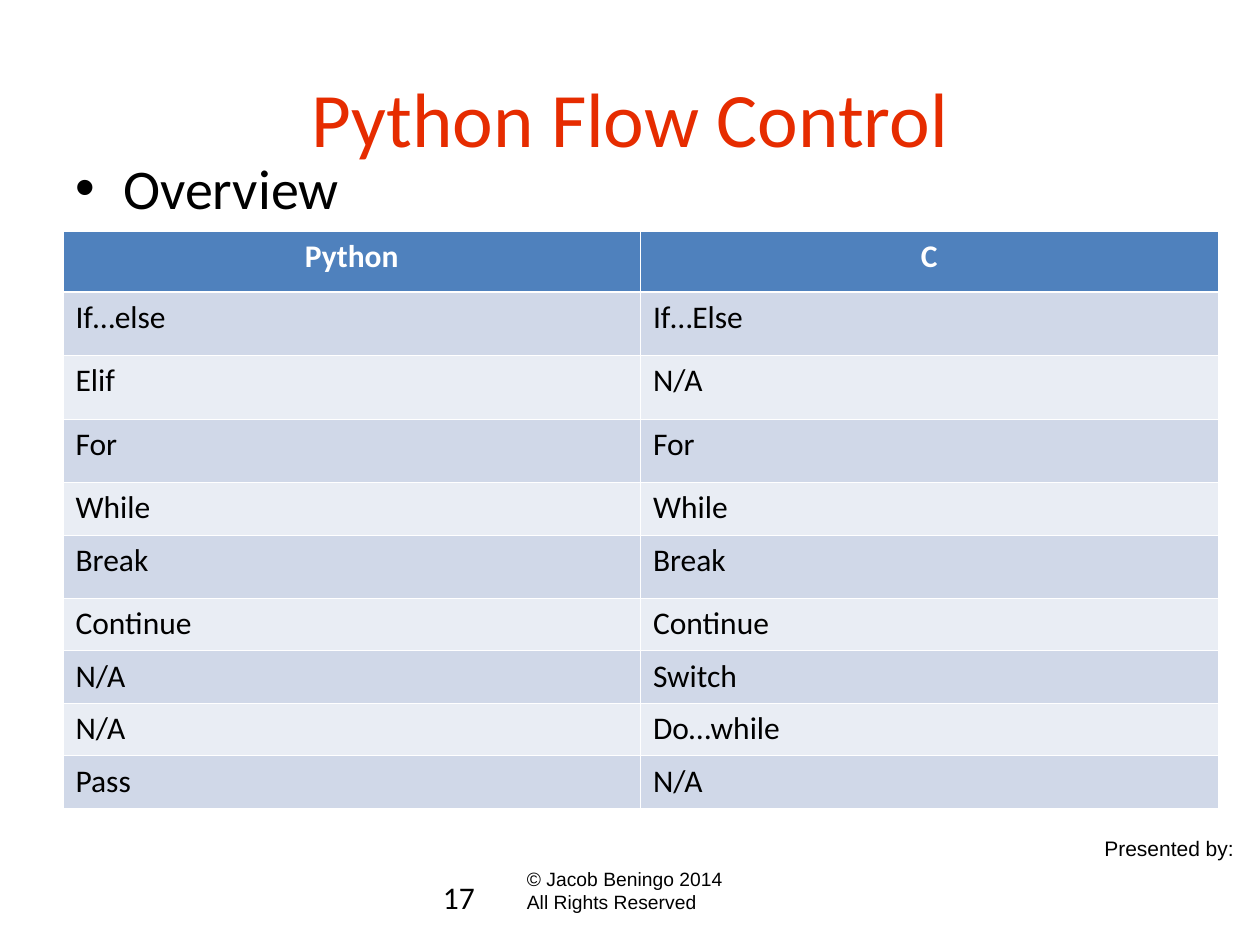
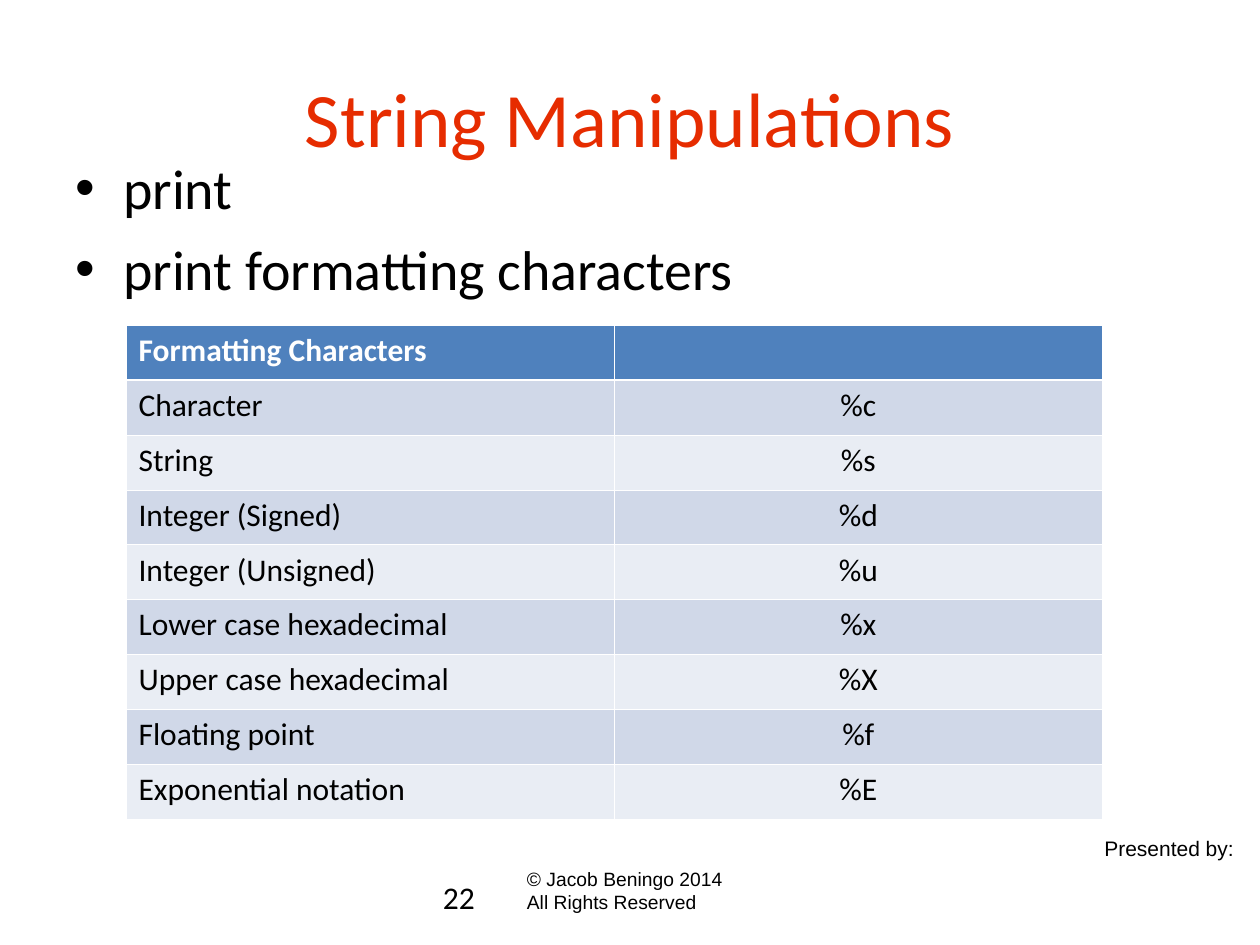
import collections

import lxml.etree
import pptx
import pptx.dml.color
import pptx.enum.text
import pptx.oxml.ns
import pptx.util

RGBColor = pptx.dml.color.RGBColor
Align = pptx.enum.text.PP_ALIGN

RED = RGBColor(0xE6, 0x2C, 0x00)
BLACK = RGBColor(0x00, 0x00, 0x00)
WHITE = RGBColor(0xFF, 0xFF, 0xFF)
HEADER_BLUE = RGBColor(0x4F, 0x81, 0xBD)
BAND_DARK = RGBColor(0xD0, 0xD8, 0xE8)
BAND_LIGHT = RGBColor(0xE9, 0xED, 0xF4)

BODY_FONT = "Calibri"
FOOTER_FONT = "Arial"
SLIDE_WIDTH = pptx.util.Inches(10)
SLIDE_HEIGHT = pptx.util.Inches(7.5)
GRID_COLUMNS = 120
GRID_ROWS = 90
THIN = 0.45
THICK = 1.47

Box = collections.namedtuple("Box", "left top width height")

TITLE_BOX = Box(6, 3.6, 108, 15)
BULLET_BOX = Box(6, 14, 108, 59.4)
FOOTER_BOX = Box(41, 79, 78, 11)

FLOW_ROWS = [
    ("Python", "C"),
    ("If…else", "If…Else"),
    ("Elif", "N/A"),
    ("For", "For"),
    ("While", "While"),
    ("Break", "Break"),
    ("Continue", "Continue"),
    ("N/A", "Switch"),
    ("N/A", "Do…while"),
    ("Pass", "N/A"),
]
FLOW_ROW_SHARES = [5.8, 6.05, 6.05, 6.05, 5, 6.05, 5, 5, 5, 5]

FORMAT_ROWS = [
    ("Formatting Characters", ""),
    ("Character", "%c"),
    ("String", "%s"),
    ("Integer (Signed)", "%d"),
    ("Integer (Unsigned)", "%u"),
    ("Lower case hexadecimal", "%x"),
    ("Upper case hexadecimal", "%X"),
    ("Floating point", "%f"),
    ("Exponential notation", "%E"),
]


def across(columns):
    return round(SLIDE_WIDTH * columns / GRID_COLUMNS)


def down(rows):
    return round(SLIDE_HEIGHT * rows / GRID_ROWS)


def to_lengths(box):
    return across(box.left), down(box.top), across(box.width), down(box.height)


def style(paragraph, size, color=BLACK, name=BODY_FONT, bold=False):
    paragraph.font.size = pptx.util.Pt(size)
    paragraph.font.color.rgb = color
    paragraph.font.name = name
    paragraph.font.bold = bold


def add_element(parent, tag, **attributes):
    return lxml.etree.SubElement(parent, pptx.oxml.ns.qn(tag), attributes)


def add_text(slide, box, lines, size, name=BODY_FONT, wrap=True):
    text_frame = slide.shapes.add_textbox(*to_lengths(box)).text_frame
    text_frame.word_wrap = wrap
    text_frame.text = "\n".join(lines)
    for paragraph in text_frame.paragraphs:
        style(paragraph, size, name=name)


def add_title(slide, box, text):
    title = slide.shapes.title
    title.left, title.top, title.width, title.height = to_lengths(box)
    text_frame = title.text_frame
    text_frame.text = text
    text_frame.auto_size = pptx.enum.text.MSO_AUTO_SIZE.NONE
    text_frame.vertical_anchor = pptx.enum.text.MSO_ANCHOR.MIDDLE
    text_frame.margin_left = text_frame.margin_right = 0
    text_frame.margin_top = text_frame.margin_bottom = 0
    paragraph = text_frame.paragraphs[0]
    paragraph.alignment = Align.CENTER
    style(paragraph, 44, RED)


def add_bullets(slide, box, items):
    text_frame = slide.shapes.add_textbox(*to_lengths(box)).text_frame
    text_frame.word_wrap = True
    text_frame.text = "\n".join(items)
    indent = pptx.util.Inches(0.38)
    for index, paragraph in enumerate(text_frame.paragraphs):
        properties = paragraph._p.get_or_add_pPr()
        properties.set("marL", str(indent))
        properties.set("indent", str(-indent))
        add_element(properties, "a:buFont", typeface="Arial")
        add_element(properties, "a:buChar", char="•")
        if index:
            paragraph.space_before = pptx.util.Pt(8)
        style(paragraph, 32)


def add_footer(slide, box, number):
    add_text(slide, Box(box.left, box.top + 4, 28, 4.8), [number], 18)
    add_text(slide, Box(box.left + 8, box.top + 3, 22, 7.8),
             ["© Jacob Beningo 2014", "All Rights Reserved"], 11, FOOTER_FONT)
    add_text(slide, Box(box.left + box.width - 15, box.top, 15, 3.6),
             ["Presented by:"], 12, FOOTER_FONT, wrap=False)


def set_borders(cell, top, bottom):
    properties = cell._tc.get_or_add_tcPr()
    sides = {"a:lnL": THIN, "a:lnR": THIN, "a:lnT": top, "a:lnB": bottom}
    for tag, points in sides.items():
        line = add_element(properties, tag, w=str(pptx.util.Pt(points)))
        fill = add_element(line, "a:solidFill")
        add_element(fill, "a:srgbClr", val=str(WHITE))


def format_cell(cell, row_index, text, alignment):
    header = row_index == 0
    set_borders(cell, THICK if row_index == 1 else THIN, THICK if header else THIN)
    cell.fill.solid()
    band = BAND_DARK if row_index % 2 else BAND_LIGHT
    cell.fill.fore_color.rgb = HEADER_BLUE if header else band
    cell.text = text
    paragraph = cell.text_frame.paragraphs[0]
    paragraph.alignment = alignment
    style(paragraph, 18, WHITE if header else BLACK, bold=header)


def add_comparison_table(slide, box, rows, row_shares, header_alignments, body_alignments):
    column_count = len(rows[0])
    table = slide.shapes.add_table(len(rows), column_count, *to_lengths(box)).table
    for column in table.columns:
        column.width = across(box.width / column_count)
    for row_index, texts in enumerate(rows):
        share = row_shares[row_index] / sum(row_shares)
        table.rows[row_index].height = down(box.height * share)
        alignments = body_alignments if row_index else header_alignments
        for column_index, text in enumerate(texts):
            format_cell(table.cell(row_index, column_index), row_index, text,
                        alignments[column_index])


def add_table_slide(presentation, title, bullets, number, *table_parts):
    slide = presentation.slides.add_slide(presentation.slide_layouts.get_by_name("Title Only"))
    add_footer(slide, FOOTER_BOX, number)
    add_title(slide, TITLE_BOX, title)
    add_bullets(slide, BULLET_BOX, bullets)
    add_comparison_table(slide, *table_parts)


def main():
    presentation = pptx.Presentation()
    presentation.slide_width = SLIDE_WIDTH
    presentation.slide_height = SLIDE_HEIGHT
    add_table_slide(
        presentation, "Python Flow Control", ["Overview"], "17",
        Box(6, 22, 110, 55), FLOW_ROWS, FLOW_ROW_SHARES,
        (Align.CENTER, Align.CENTER), (Align.LEFT, Align.LEFT))
    add_table_slide(
        presentation, "String Manipulations", ["print", "print formatting characters"], "22",
        Box(12, 31, 93, 47), FORMAT_ROWS, [1] * len(FORMAT_ROWS),
        (Align.LEFT, Align.LEFT), (Align.LEFT, Align.CENTER))
    presentation.save("out.pptx")


if __name__ == "__main__":
    main()
